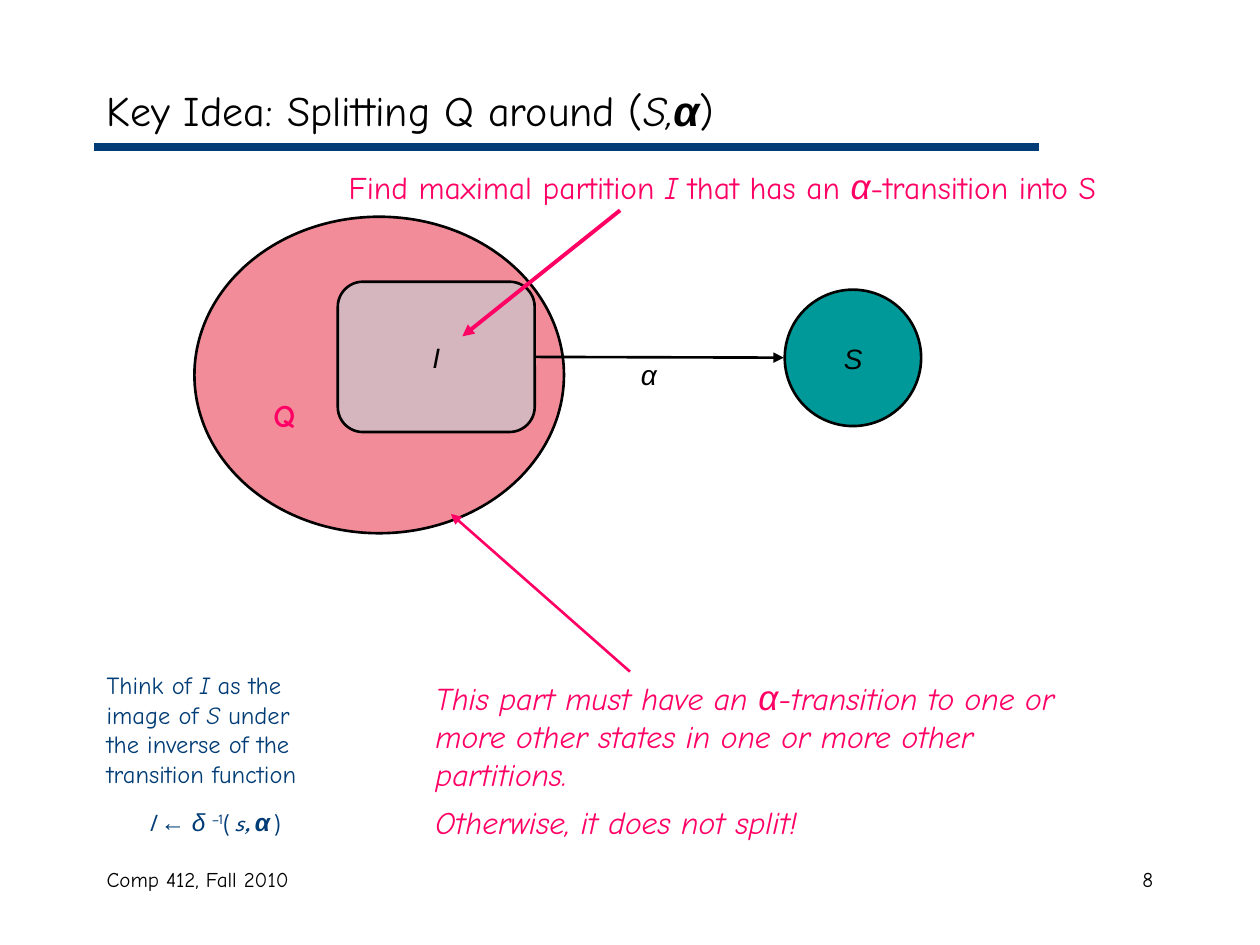
import pptx
import pptx.util
import pptx.dml.color
import pptx.enum.shapes
import pptx.enum.text
import pptx.oxml.ns
import lxml.etree

Cm, Pt = pptx.util.Cm, pptx.util.Pt
RGB = pptx.dml.color.RGBColor
SHAPE = pptx.enum.shapes.MSO_SHAPE
ALIGN = pptx.enum.text.PP_ALIGN
ANCHOR = pptx.enum.text.MSO_ANCHOR
FIT = pptx.enum.text.MSO_AUTO_SIZE
qn = pptx.oxml.ns.qn

BLACK = RGB(0x00, 0x00, 0x00)
NAVY = RGB(0x00, 0x3C, 0x75)
PINK = RGB(0xFF, 0x00, 0x65)
ROSE = RGB(0xF3, 0x8C, 0x99)
PALE_BLUE = RGB(0xBB, 0xE0, 0xE3)
TEAL = RGB(0x00, 0x99, 0x99)

BODY, SYMBOL, FORMULA = "Comic Neue", "Arial", "League Spartan"
ITALIC = {"italic": True}


class Deck:
    """Holds the style and the current slide."""

    def __init__(self):
        self.prs = pptx.Presentation()
        self.prs.slide_width, self.prs.slide_height = Cm(25.4), Cm(19.05)
        self.s = self.prs.slides.add_slide(self.prs.slide_layouts[6])

    def style(self, font, size=None, color=None, name=None, bold=None, italic=None):
        if size:
            font.size = Pt(size)
        if color is not None:
            font.color.rgb = color
        if name:
            font.name = name
        if bold is not None:
            font.bold = bold
        if italic is not None:
            font.italic = italic

    def paragraph(self, p, runs, align=ALIGN.LEFT, before=0, **font):
        """Runs are (text, differences from the paragraph font)."""
        p.alignment = align
        if before:
            p.space_before = Pt(before)
        self.style(p.font, **font)
        for text, own in runs:
            r = p.add_run()
            r.text = text
            own = dict(own)
            raised = own.pop("raised", None)
            self.style(r.font, **own)
            if raised:
                r.font._element.set("baseline", str(raised * 1000))

    def text(self, x, y, w, h, *paragraphs, wrap=True, anchor=ANCHOR.TOP, grow=True):
        """Paragraphs are (runs, options)."""
        sp = self.s.shapes.add_textbox(Cm(x), Cm(y), Cm(w), Cm(h))
        tf = sp.text_frame
        tf.word_wrap = wrap
        tf.vertical_anchor = anchor
        tf.auto_size = FIT.SHAPE_TO_FIT_TEXT if grow else FIT.NONE
        for i, (runs, options) in enumerate(paragraphs):
            self.paragraph(tf.add_paragraph() if i else tf.paragraphs[0], runs, **options)
        return sp

    def label(self, x, y, w, h, text, name=SYMBOL, size=16, color=BLACK, **font):
        font.update(name=name, size=size, color=color)
        return self.text(x, y, w, h, ([(text, {})], font), wrap=False)

    def shape(self, kind, x, y, w, h, color, opacity=None):
        sp = self.s.shapes.add_shape(kind, Cm(x), Cm(y), Cm(w), Cm(h))
        sp.shadow.inherit = False
        sp.fill.solid()
        sp.fill.fore_color.rgb = color
        if opacity:
            clr = sp._element.spPr.find(qn("a:solidFill"))[0]
            lxml.etree.SubElement(clr, qn("a:alpha")).set("val", str(opacity * 1000))
        sp.line.color.rgb = BLACK
        sp.line.width = Pt(1.5)
        return sp

    def line(self, x1, y1, x2, y2, color, width, arrow=True):
        c = self.s.shapes.add_connector(
            pptx.enum.shapes.MSO_CONNECTOR.STRAIGHT, Cm(x1), Cm(y1), Cm(x2), Cm(y2))
        c.line.color.rgb = color
        c.line.width = Pt(width)
        if arrow:
            ln = c.line._get_or_add_ln()
            lxml.etree.SubElement(ln, qn("a:tailEnd")).set("type", "triangle")
        lxml.etree.SubElement(c._element.spPr, qn("a:effectLst"))
        return c


def main():
    d = Deck()

    # Title rule and footer
    d.line(1.9, 2.97, 20.95, 2.97, NAVY, 4.5, arrow=False)
    footer = {"name": BODY, "size": 12, "color": BLACK}
    d.text(1.9, 17.35, 8.05, 1.27, ([("Comp 412, Fall 2010", {})], footer), grow=False)
    d.text(18.2, 17.35, 5.3, 1.27,
           ([("8", {})], {"align": ALIGN.RIGHT, **footer}), grow=False)

    # Set Q and title
    d.shape(SHAPE.OVAL, 3.92, 4.37, 7.45, 6.38, ROSE)
    d.text(1.9, 1.47, 21.6, 1.47, ([
        ("Key Idea: Splitting Q around (", {"name": BODY}),
        ("S,", {"name": BODY, "italic": True}),
        ("α", {"name": SYMBOL, "bold": True, "italic": True}),
        (")", {"name": BODY}),
    ], {"size": 24, "color": BLACK}), anchor=ANCHOR.MIDDLE, grow=False)

    # Partition I
    part = d.shape(SHAPE.ROUNDED_RECTANGLE, 6.81, 5.68, 3.97, 3.03, PALE_BLUE, opacity=50)
    tf = part.text_frame
    tf.word_wrap = False
    tf.vertical_anchor = ANCHOR.MIDDLE
    d.paragraph(tf.paragraphs[0], [("I", {})], align=ALIGN.CENTER,
                name=SYMBOL, size=16, color=BLACK, italic=True)

    # Transition from I to S
    d.line(10.78, 7.2, 15.8, 7.21, BLACK, 1.5).begin_connect(part, 3)
    d.shape(SHAPE.OVAL, 15.82, 5.84, 2.75, 2.75, TEAL)
    d.label(16.76, 6.76, 0.89, 0.94, "S", italic=True)
    d.label(12.67, 7.09, 0.86, 0.94, "α", italic=True)

    # Remark on the remaining part
    remark = {"color": PINK, "italic": True}
    words = {"name": BODY, "size": 18}
    alpha = {"name": SYMBOL, "size": 20, "italic": True}
    d.text(8.53, 13.49, 13, 3.58, ([
        ("This part must have an ", words),
        ("α", alpha),
        ("-transition to one or more other states in one or more other partitions.", words),
    ], remark), ([("Otherwise, it does not split!", {})],
                 {"before": 5.6, **words, **remark}))
    d.line(12.7, 13.54, 9.09, 10.36, PINK, 1.5)

    # Remark on I
    d.text(6.78, 3.2, 16.94, 1.12, ([
        ("Find maximal partition ", words),
        ("I ", {**words, **ITALIC}),
        ("that has an ", words),
        ("α", alpha),
        ("-transition into S", words),
    ], {"color": PINK}))
    d.line(12.5, 4.24, 9.32, 6.78, PINK, 2.25)
    d.label(5.26, 7.85, 1.07, 1.02, "Q", name=BODY, size=18, color=PINK, bold=True)

    # Inverse image note and formula
    term = {"name": FORMULA, "size": 14, "italic": True}
    greek = {**term, "name": SYMBOL}
    gap = {**term, "size": 9}
    d.text(1.9, 13.39, 4.88, 3.68, ([
        ("Think of ", {}),
        ("I ", ITALIC),
        ("as the image of ", {}),
        ("S", ITALIC),
        (" under the inverse of the transition function", {}),
    ], {"name": BODY, "size": 14, "color": NAVY}), ([
        ("I ", term),
        ("← δ ", greek),
        ("–1", {**term, "italic": False, "raised": 30}),
        ("(", {**term, "italic": False}),
        (" ", gap),
        ("s,", term),
        (" ", gap),
        ("α", {**greek, "bold": True}),
        (" ", gap),
        (")", {**term, "italic": False}),
    ], {"align": ALIGN.CENTER, "before": 11, "color": NAVY}))

    d.prs.save("out.pptx")


if __name__ == "__main__":
    main()
